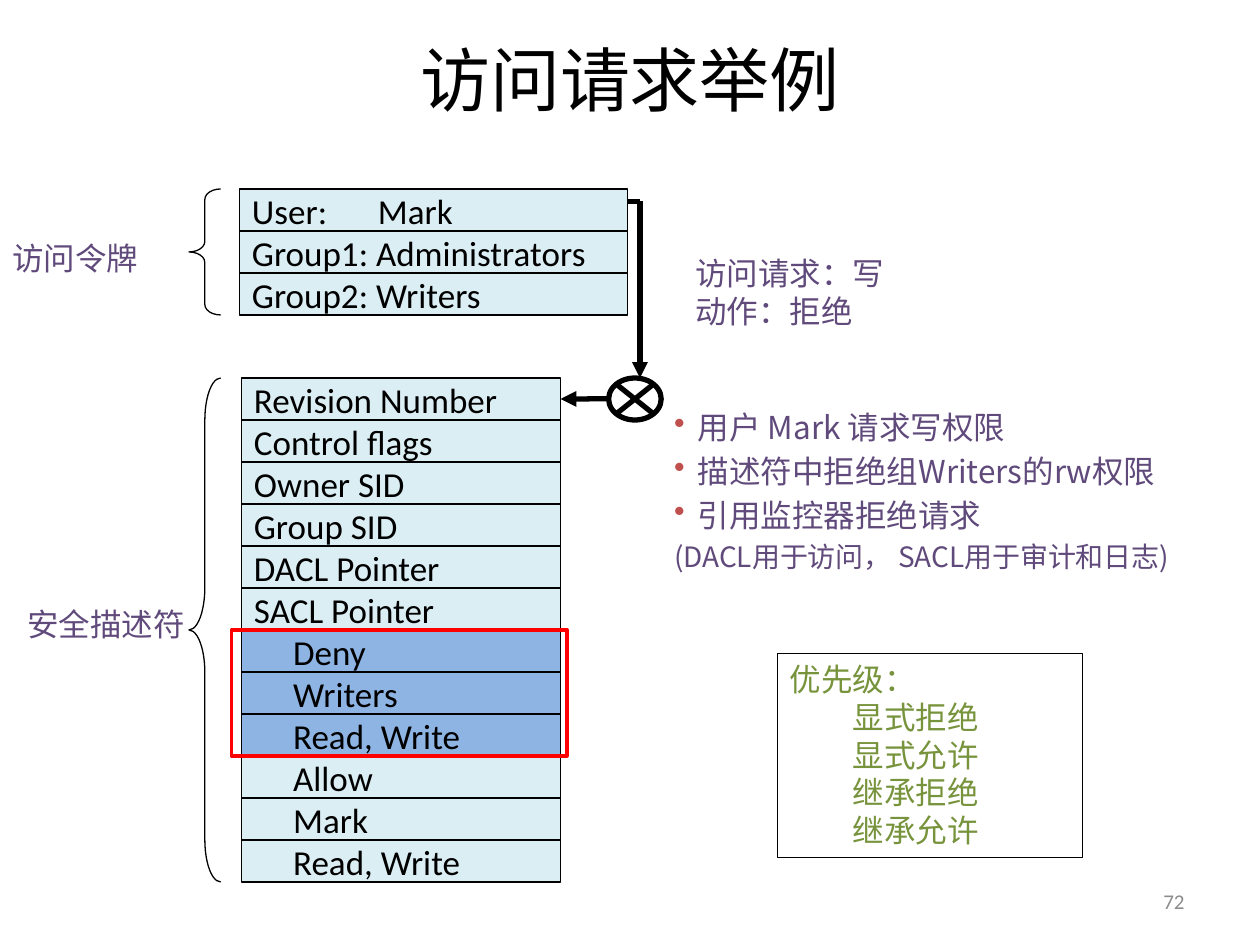
from dataclasses import dataclass

from lxml import etree
from pptx import Presentation
from pptx.dml.color import RGBColor
from pptx.enum.shapes import MSO_CONNECTOR, MSO_SHAPE
from pptx.enum.text import MSO_ANCHOR, PP_ALIGN
from pptx.oxml.ns import qn
from pptx.util import Cm, Pt

RECTANGLE = MSO_SHAPE.RECTANGLE
LEFT_BRACE = MSO_SHAPE.LEFT_BRACE
JUNCTION = MSO_SHAPE.FLOWCHART_SUMMING_JUNCTION
STRAIGHT = MSO_CONNECTOR.STRAIGHT
TOP, MIDDLE = MSO_ANCHOR.TOP, MSO_ANCHOR.MIDDLE
LEFT, CENTER, RIGHT = PP_ALIGN.LEFT, PP_ALIGN.CENTER, PP_ALIGN.RIGHT

CHINESE, LATIN = "Noto Sans CJK SC", "Calibri"
BLACK, PURPLE, GREEN, GRAY, RED = "000000", "604A7B", "77933C", "8C8C8C", "FF0000"
PALE, BLUE, BULLET_RED = "DBEEF4", "8EB4E3", "C0504D"
ROW_HEIGHT = 2.54 / 3
ROW_INDENT = 0.79


@dataclass
class Box:
    """Position and size in centimetres."""
    left: float
    top: float
    width: float
    height: float

    def lengths(self):
        return Cm(self.left), Cm(self.top), Cm(self.width), Cm(self.height)


@dataclass
class Line:
    text: str
    size: float = 18
    indent: float = 0
    bullet: bool = False
    space_before: float = 0
    tab: float = 0


@dataclass
class Row:
    text: str
    fill: str = PALE
    indent: float = 0
    tab: float = 0


def rgb(value: str) -> RGBColor:
    return RGBColor.from_string(value)


def write(shape, lines: list[Line], color: str, font: str = CHINESE,
          anchor=TOP, align=LEFT) -> None:
    frame = shape.text_frame
    frame.word_wrap = True
    frame.vertical_anchor = anchor
    for index, line in enumerate(lines):
        paragraph = frame.add_paragraph() if index else frame.paragraphs[0]
        paragraph.text = line.text
        paragraph.alignment = align
        properties = paragraph._p.get_or_add_pPr()
        properties.set("marL", str(Cm(line.indent)))
        properties.set("indent", str(-Cm(line.indent) if line.bullet else 0))
        if line.bullet:
            bullet_color = etree.SubElement(properties, qn("a:buClr"))
            etree.SubElement(bullet_color, qn("a:srgbClr"), val=BULLET_RED)
            etree.SubElement(properties, qn("a:buChar"), char="•")
        if line.tab:
            tabs = etree.SubElement(properties, qn("a:tabLst"))
            etree.SubElement(tabs, qn("a:tab"), pos=str(Cm(line.tab)), algn="l")
        if line.space_before:
            paragraph.space_before = Pt(line.space_before)
        paragraph.font.size = Pt(line.size)
        paragraph.font.color.rgb = rgb(color)
        paragraph.font.name = font
        etree.SubElement(properties.find(qn("a:defRPr")), qn("a:ea"), typeface=font)


def add_text(slide, box: Box, lines: list[Line], color: str, **style) -> None:
    write(slide.shapes.add_textbox(*box.lengths()), lines, color, **style)


def add_outline(slide, kind, box: Box, line: str = BLACK, width: float = 0.75,
                fill: str = ""):
    shape = slide.shapes.add_shape(kind, *box.lengths())
    shape.shadow.inherit = False
    if fill:
        shape.fill.solid()
        shape.fill.fore_color.rgb = rgb(fill)
    else:
        shape.fill.background()
    shape.line.color.rgb = rgb(line)
    shape.line.width = Pt(width)
    return shape


def add_rows(slide, left: float, top: float, width: float, rows: list[Row]) -> list:
    shapes = []
    for index, row in enumerate(rows):
        box = Box(left, top + index * ROW_HEIGHT, width, ROW_HEIGHT)
        shape = add_outline(slide, RECTANGLE, box, fill=row.fill)
        line = Line(row.text, 20, row.indent, tab=row.tab)
        write(shape, [line], BLACK, font=LATIN, anchor=MIDDLE)
        shapes.append(shape)
    return shapes


def add_brace(slide, top: float, height: float, curve: float) -> None:
    brace = add_outline(slide, LEFT_BRACE, Box(3.81, top, 0.64, height))
    brace.adjustments[0] = curve
    brace.adjustments[1] = 0.5


def add_line(slide, start: tuple[float, float], end: tuple[float, float],
             arrow: bool = True):
    points = [Cm(value) for value in start + end]
    connector = slide.shapes.add_connector(STRAIGHT, *points)
    connector.line.color.rgb = rgb(BLACK)
    connector.line.width = Pt(3)
    if arrow:
        etree.SubElement(connector.line._get_or_add_ln(), qn("a:tailEnd"), type="triangle")
    etree.SubElement(connector._element.spPr, qn("a:effectLst"))
    return connector


def main() -> None:
    presentation = Presentation()
    presentation.slide_width, presentation.slide_height = Cm(25.4), Cm(19.05)
    slide = presentation.slides.add_slide(presentation.slide_layouts[6])

    # Title and labels
    add_text(slide, Box(1.27, 0, 22.86, 3.18), [Line("访问请求举例", 40)], BLACK,
             anchor=MIDDLE, align=CENTER)
    add_text(slide, Box(0, 4.7, 4.67, 1.02), [Line("访问令牌")], PURPLE)
    add_text(slide, Box(0.3, 12.07, 3.81, 1.02), [Line("安全描述符")], PURPLE)
    add_text(slide, Box(13.77, 5, 4.52, 1.8),
             [Line("访问请求：写"), Line("动作：拒绝")], PURPLE)

    # Explanation
    add_text(slide, Box(13.34, 8.1, 12.5, 3.68), [
        Line("用户 Mark 请求写权限", indent=0.48, bullet=True),
        Line("描述符中拒绝组Writers的rw权限", indent=0.48, bullet=True, space_before=3.6),
        Line("引用监控器拒绝请求", indent=0.48, bullet=True, space_before=3.6),
        Line("(DACL用于访问， SACL用于审计和日志)", 16, space_before=3.2),
    ], PURPLE)

    # Priority list
    priority = add_outline(slide, RECTANGLE, Box(15.67, 13.18, 6.15, 4.11))
    levels = ["显式拒绝", "显式允许", "继承拒绝", "继承允许"]
    write(priority, [Line("优先级：")] + [Line(level, indent=1.27) for level in levels], GREEN)

    # Security descriptor
    fields = ["Revision Number", "Control flags", "Owner SID", "Group SID",
              "DACL Pointer", "SACL Pointer"]
    denied = ["Deny", "Writers", "Read, Write"]
    allowed = ["Allow", "Mark", "Read, Write"]
    descriptor = add_rows(slide, 4.87, 7.62, 6.43,
                          [Row(text) for text in fields]
                          + [Row(text, BLUE, ROW_INDENT) for text in denied]
                          + [Row(text, PALE, ROW_INDENT) for text in allowed])
    add_brace(slide, 7.62, 10.16, 1.33)

    # Path from the token through the check to the descriptor
    add_line(slide, (12.9, 4.06), (12.9, 7.62))
    add_outline(slide, JUNCTION, Box(12.27, 7.62, 1.06, ROW_HEIGHT), width=3)
    check = add_line(slide, (12.27, 8.04), (11.3, 8.04))
    check.end_connect(descriptor[0], 3)
    add_line(slide, (12.12, 4.06), (12.9, 4.06), arrow=False)

    # Access token
    add_brace(slide, 3.81, 2.54, 0.33)
    add_rows(slide, 4.83, 3.81, 7.82, [
        Row("User:\tMark", tab=2.17),
        Row("Group1: Administrators"),
        Row("Group2: Writers"),
    ])

    # Slide number and highlight of the denied entry
    add_text(slide, Box(18.2, 17.65, 5.93, 1.02), [Line("72", 12)], GRAY,
             font=LATIN, anchor=MIDDLE, align=RIGHT)
    add_outline(slide, RECTANGLE, Box(4.67, 12.7, 6.76, 2.54), RED, 2)

    presentation.save("out.pptx")


if __name__ == "__main__":
    main()
